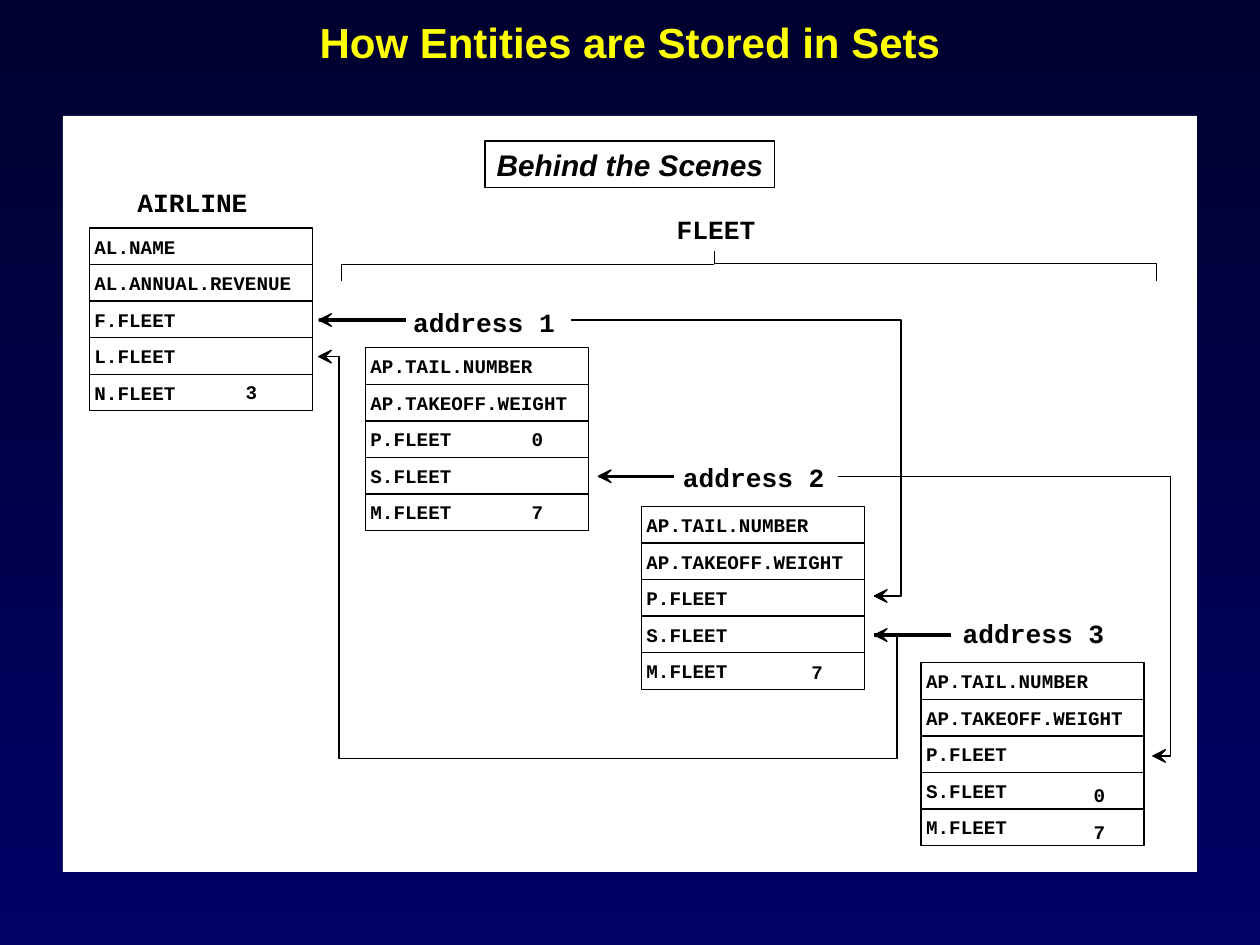
from lxml import etree
from pptx import Presentation
from pptx.dml.color import RGBColor
from pptx.enum.shapes import MSO_CONNECTOR, MSO_SHAPE
from pptx.enum.text import MSO_ANCHOR, PP_ALIGN
from pptx.oxml.ns import qn
from pptx.util import Inches, Pt

RECT = MSO_SHAPE.RECTANGLE
STRAIGHT = MSO_CONNECTOR.STRAIGHT
MIDDLE, TOP = MSO_ANCHOR.MIDDLE, MSO_ANCHOR.TOP
LEFT, CENTER = PP_ALIGN.LEFT, PP_ALIGN.CENTER
rgb = RGBColor.from_string
BLACK, WHITE, YELLOW = "000000", "FFFFFF", "FFFF00"
ROW_W, ROW_H = 1.77, 0.29

TITLE = {"size": Pt(24), "name": "Arial", "bold": True}
HEADING = {"size": Pt(17), "name": "Arial", "bold": True, "italic": True}
LABEL = {"size": Pt(15), "name": "Courier New", "bold": True}
FIELD = {"size": Pt(11), "name": "Courier New", "bold": True}


def write(sp, text, fmt, color=BLACK, align=LEFT, anchor=TOP, wrap=False, inset=0):
    tf = sp.text_frame
    tf.word_wrap = wrap
    tf.vertical_anchor = anchor
    tf.margin_left = Inches(inset)
    tf.margin_top = tf.margin_right = tf.margin_bottom = 0
    p = tf.paragraphs[0]
    p.alignment = align
    r = p.add_run()
    r.text = text
    r.font.color.rgb = rgb(color)
    for key, value in fmt.items():
        setattr(r.font, key, value)


def add_path(points, filled=False):
    pts = [(Inches(x), Inches(y)) for x, y in points]
    builder = s.shapes.build_freeform(*pts[0])
    builder.add_line_segments(pts[1:], close=filled)
    sp = builder.convert_to_shape()
    sp.shadow.inherit = False
    sp.line.color.rgb = rgb(BLACK)
    sp.line.width = Pt(0)
    if filled:
        sp.fill.solid()
        sp.fill.fore_color.rgb = rgb(BLACK)
    else:
        sp.fill.background()


prs = Presentation()
prs.slide_width, prs.slide_height = Inches(10), Inches(7.5)
s = prs.slides.add_slide(prs.slide_layouts[5])

# Background gradient, dark at the top
fill = s.background.fill
fill.gradient()
fill.gradient_angle = 270
for stop, position, color in zip(fill.gradient_stops, (0, 1), ("00002F", "000066")):
    stop.position = position
    stop.color.rgb = rgb(color)

# Title
title = s.shapes.title
title.left, title.top = Inches(0.75), Inches(0.08)
title.width, title.height = Inches(8.5), Inches(0.5)
write(title, "How Entities are Stored in Sets", TITLE, YELLOW, CENTER, MIDDLE, True)

# Panel, heading box and the rows of each record
airline = ["AL.NAME", "AL.ANNUAL.REVENUE", "F.FLEET", "L.FLEET", "N.FLEET"]
airplane = ["AP.TAIL.NUMBER", "AP.TAKEOFF.WEIGHT", "P.FLEET", "S.FLEET", "M.FLEET"]
records = [(0.71, 1.81, airline), (2.9, 2.76, airplane),
           (5.09, 4.02, airplane), (7.31, 5.26, airplane)]

boxes = [(0.5, 0.92, 9, 6, "", None, LEFT),
         (3.85, 1.12, 2.3, 0.37, "Behind the Scenes", HEADING, CENTER)]
for x, y, fields in records:
    for i, field in enumerate(fields):
        boxes.append((x, y + i * ROW_H, ROW_W, ROW_H, field, FIELD, LEFT))

for x, y, w, h, text, fmt, align in boxes:
    sp = s.shapes.add_shape(RECT, Inches(x), Inches(y), Inches(w), Inches(h))
    sp.shadow.inherit = False
    sp.fill.solid()
    sp.fill.fore_color.rgb = rgb(WHITE)
    if text:
        sp.line.color.rgb = rgb(BLACK)
        sp.line.width = Pt(0)
        write(sp, text, fmt, align=align, anchor=MIDDLE,
              inset=0.04 if align == LEFT else 0, wrap=True)
    else:
        sp.line.fill.background()

# Record names, addresses and stored values
texts = [("AIRLINE", 1.09, 1.48, 0.88, LABEL), ("FLEET", 5.37, 1.69, 0.63, LABEL),
         ("address 1", 3.28, 2.43, 1.13, LABEL), ("address 2", 5.42, 3.66, 1.13, LABEL),
         ("address 3", 7.64, 4.9, 1.13, LABEL),
         ("3", 1.95, 3.02, 0.09, FIELD), ("0", 4.22, 3.39, 0.09, FIELD),
         ("7", 4.22, 3.97, 0.09, FIELD), ("7", 6.44, 5.24, 0.09, FIELD),
         ("0", 8.68, 6.22, 0.09, FIELD), ("7", 8.68, 6.51, 0.09, FIELD)]
for text, x, y, w, fmt in texts:
    h = 0.25 if fmt is LABEL else 0.18
    write(s.shapes.add_textbox(Inches(x), Inches(y), Inches(w), Inches(h)), text, fmt)

# Straight pointers from each address
for x1, x2, y in [(3.22, 2.53, 2.54), (5.35, 4.75, 3.78), (7.55, 6.94, 5.04)]:
    line = s.shapes.add_connector(STRAIGHT, Inches(x1), Inches(y), Inches(x2), Inches(y))
    line.line.color.rgb = rgb(BLACK)
    line.line.width = Pt(0)
    etree.SubElement(line._element.spPr, qn("a:effectLst"))

# Bent pointers and the bracket under FLEET
for points in [
    [(4.53, 2.54), (7.15, 2.54), (7.15, 4.73), (6.94, 4.73)],
    [(6.65, 3.78), (9.29, 3.78), (9.29, 6), (9.15, 6)],
    [(7.12, 5.05), (7.12, 6.02), (2.69, 6.02), (2.69, 2.83), (2.53, 2.83)],
    [(5.67, 1.99), (5.67, 2.09), (9.18, 2.09), (9.18, 2.23)],
    [(5.67, 2.1), (2.71, 2.1), (2.71, 2.23)],
]:
    add_path(points)

# Notched arrowheads, all pointing left
for x, y in [(2.53, 2.54), (4.75, 3.78), (6.94, 5.04),
             (6.94, 4.73), (9.15, 6), (2.53, 2.83)]:
    add_path([(x + 0.1, y + 0.05), (x, y), (x + 0.1, y - 0.05), (x + 0.05, y)], filled=True)

prs.save("out.pptx")
